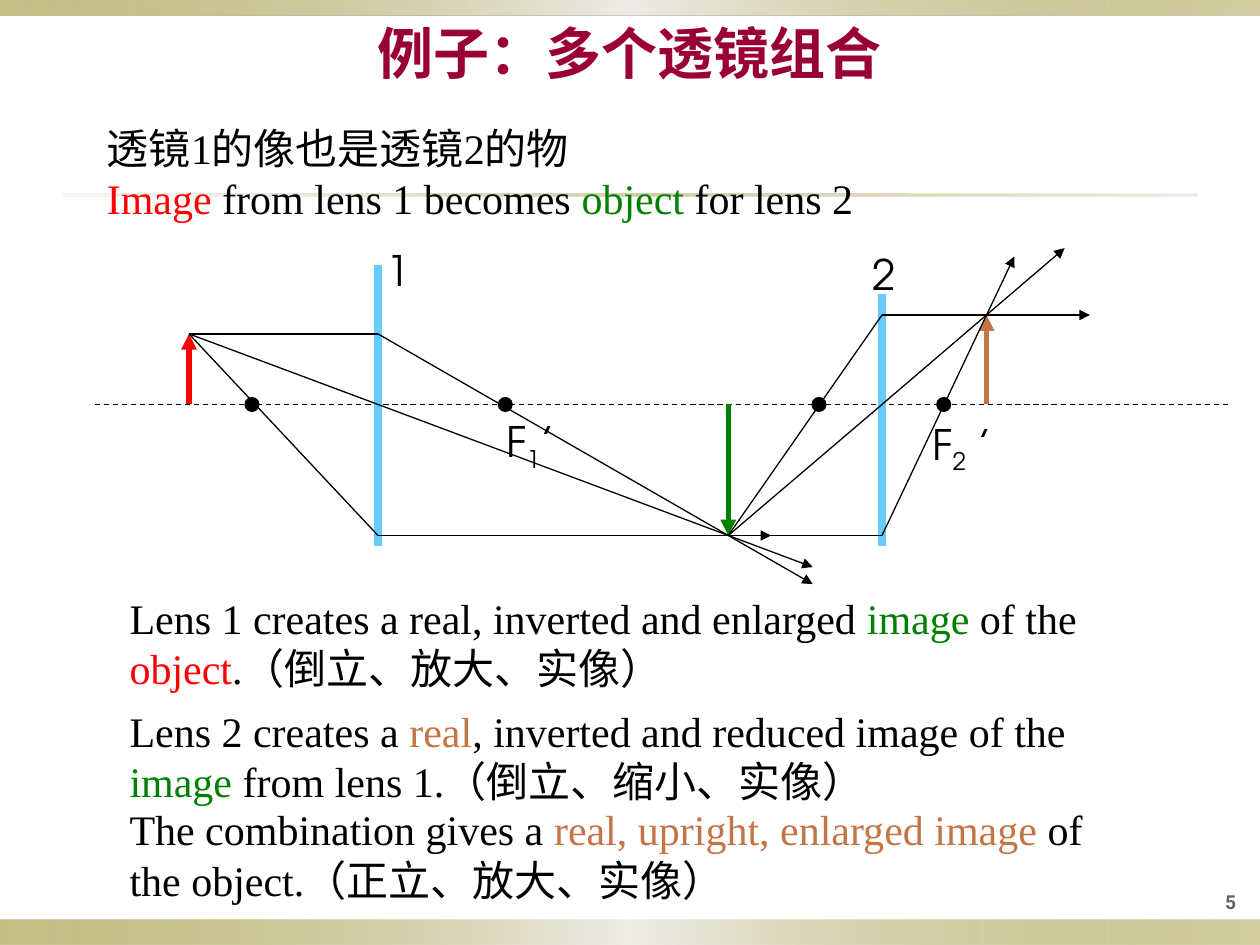
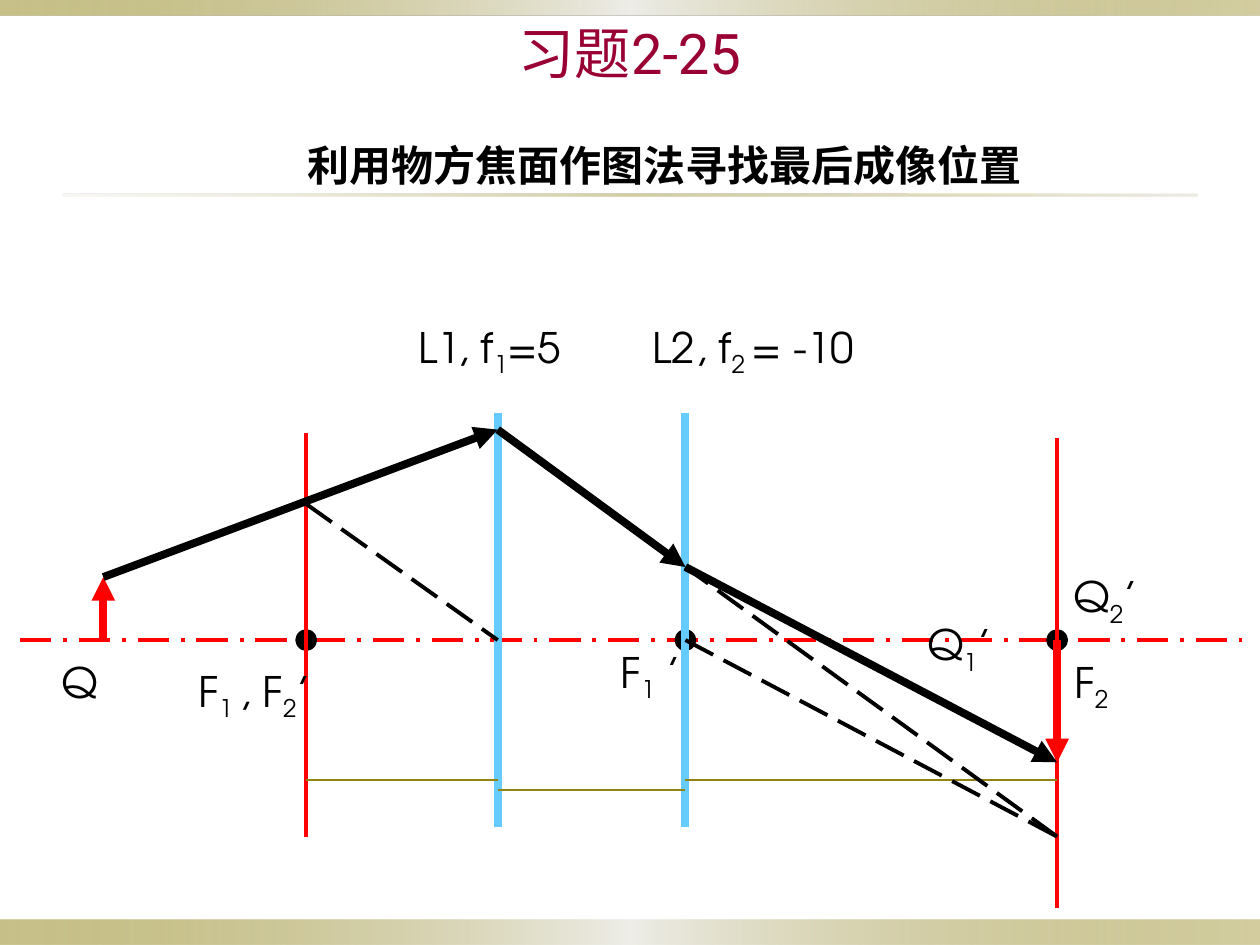
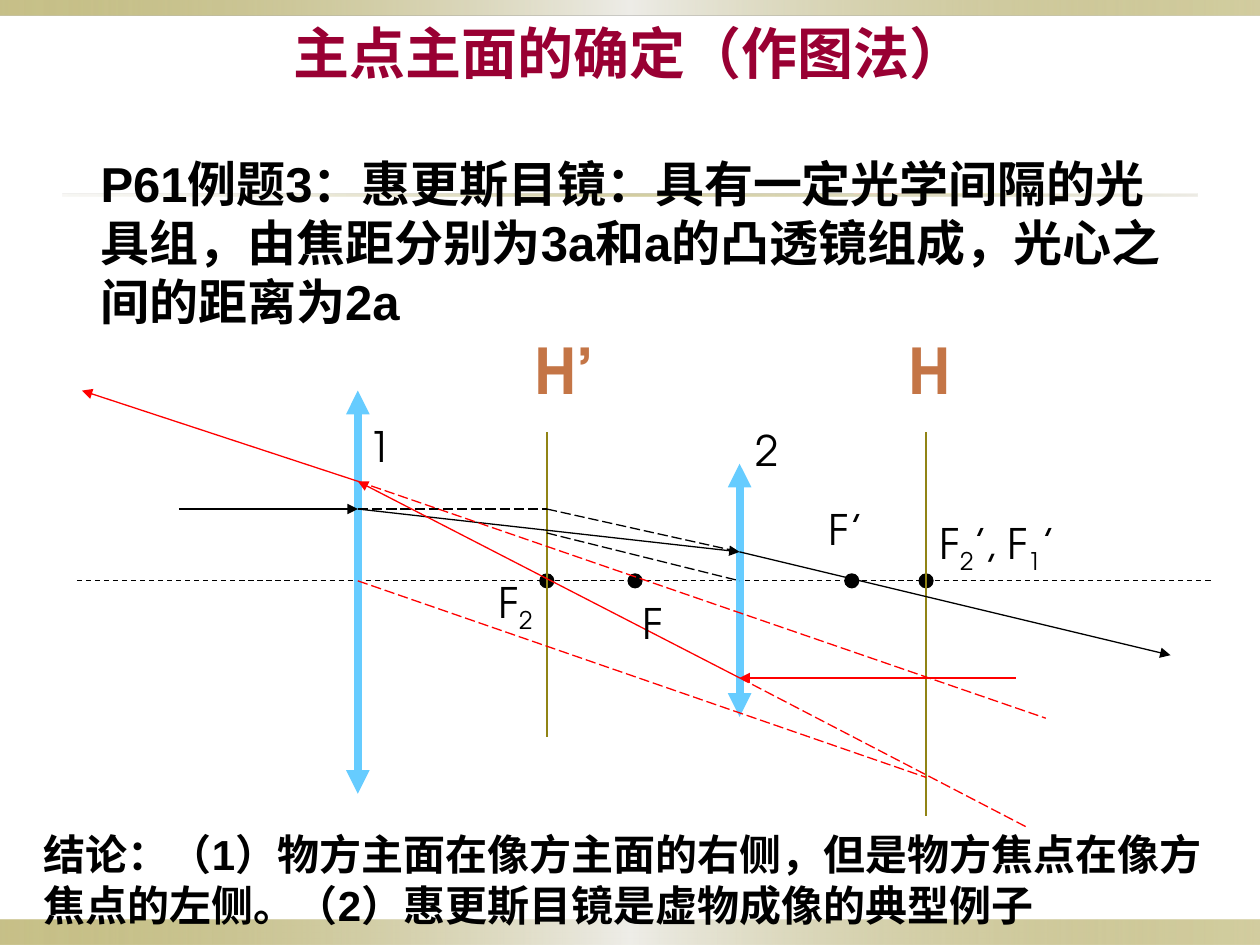
"""Build three slides on ray construction through combined lenses."""
from itertools import pairwise
from lxml.etree import SubElement
from pptx import Presentation
from pptx.dml.color import RGBColor
from pptx.enum.dml import MSO_LINE as Dash
from pptx.enum.shapes import MSO_CONNECTOR as Connector, MSO_SHAPE as Shape
from pptx.enum.text import MSO_ANCHOR as Anchor, MSO_AUTO_SIZE as AutoSize, PP_ALIGN as Align
from pptx.oxml.ns import qn
from pptx.util import Inches, Pt

rgb = RGBColor.from_string
BLACK = rgb("000000")
RED = rgb("FF0000")
GREEN = rgb("008000")
COPPER = rgb("C47546")
SKY = rgb("66CCFF")
OLIVE = rgb("918415")
CREAM = rgb("EEEDE8")
SAND = rgb("DCD9CC")
CRIMSON = rgb("990033")
GRAY = rgb("636363")

BAND_STOPS = [(0, OLIVE, 50), (50, CREAM, 100), (100, OLIVE, 40)]
RULE_STOPS = [(0, SAND, 20), (50, OLIVE, 40), (100, SAND, 50)]
BANDS = [
    ((0, 7.3, 10, 0.2), BAND_STOPS),
    ((0, 0, 10, 0.12), BAND_STOPS),
    ((0.5, 1.54, 9, 0.02), RULE_STOPS),
]
TITLE_BOX = (0, 0, 10, 0.83)
NUMBER_BOX = (5.83, 7, 4.08, 0.31)
DOT_SIZE = 0.11

TITLE = {"name": "Roboto", "size": Pt(32), "bold": True}
PLAIN_TITLE = {**TITLE, "bold": False}
NUMBER = {**TITLE, "size": Pt(11)}
LABEL = {"name": "TeX Gyre Adventor", "size": Pt(24)}
PLANE = {**LABEL, "size": Pt(36), "bold": True}
PROSE = {**LABEL, "name": "Times New Roman"}
STATEMENT = {**LABEL, "name": "Arial", "bold": True}
PROBLEM = {**STATEMENT, "size": Pt(28)}

HAIR, FINE, MEDIUM, STRONG, THICK = Pt(0.75), Pt(1), Pt(2.25), Pt(3), Pt(4.5)
END, BOTH = ["tailEnd"], ["headEnd", "tailEnd"]
LINE_STYLES = {
    "axis": (BLACK, HAIR, Dash.DASH, []),
    "red axis": (RED, MEDIUM, Dash.LONG_DASH_DOT, []),
    "lens": (SKY, THICK, None, []),
    "convex lens": (SKY, THICK, None, BOTH),
    "focal plane": (RED, MEDIUM, None, []),
    "principal plane": (OLIVE, FINE, None, []),
    "distance": (OLIVE, FINE, None, []),
    "object": (RED, STRONG, None, END),
    "first image": (GREEN, STRONG, None, END),
    "final image": (COPPER, STRONG, None, END),
    "ray": (BLACK, HAIR, None, []),
    "outgoing ray": (BLACK, HAIR, None, END),
    "back ray": (RED, HAIR, None, END),
    "construction": (BLACK, HAIR, Dash.LONG_DASH, []),
    "back construction": (RED, HAIR, Dash.LONG_DASH, []),
    "bold construction": (BLACK, MEDIUM, Dash.LONG_DASH, []),
    "bold ray": (BLACK, THICK, None, END),
    "bold image": (RED, THICK, None, END),
}


def trace(tip, lens_x, axis_y, image, exits):
    """Return the parallel, central and focal rays from a tip through its image."""
    rays = []
    for hit_y, exit_x in zip((tip[1], axis_y, image[1]), exits):
        hit = (lens_x, hit_y)
        slope = (image[1] - hit_y) / (image[0] - lens_x)
        rays.append(("ray", [tip, hit]))
        rays.append(("outgoing ray", [hit, (exit_x, hit_y + slope * (exit_x - lens_x))]))
    return rays


def relay_slide():
    """Describe two lenses in which the first image is the second object."""
    axis, lens_1, lens_2 = 3.21, 3, 7
    source, relay, final = (1.5, 2.65), (5.78, 4.25), (7.83, 2.5)
    left, width = 0.93, 8.04
    return {
        "title": ("例子：多个透镜组合", TITLE),
        "number": "5",
        "axis": ("axis", axis, 0.75, 9.75),
        "dots": (HAIR, [2, 4.01, 6.5, 7.49]),
        "uprights": [
            ("lens", lens_1, 2.1, 4.33), ("lens", lens_2, 2.33, 4.33),
            ("object", source[0], axis, source[1]),
            ("first image", relay[0], axis, relay[1]),
            ("final image", final[0], axis, final[1]),
        ],
        "paths": trace(source, lens_1, axis, relay, (6.45, 6.45, 6.12))
        + trace(relay, lens_2, axis, final, (8.05, 8.45, 8.65)),
        "labels": [
            (2.97, 1.89, ["1"]), (6.83, 1.92, ["2"]),
            (3.92, 3.25, ["F", "1", "’"]), (7.3, 3.27, ["F", "2", " ’"]),
        ],
        "prose": [
            (0.75, 0.92, 8.63, 2, PROSE, Align.LEFT, [
                ("透镜1的像也是透镜2的物\n", BLACK), ("Image ", RED),
                ("from lens 1 becomes ", BLACK), ("object ", GREEN), ("for lens 2", BLACK)]),
            (left, 4.65, width, 2, PROSE, Align.LEFT, [
                ("Lens 1 creates a real, inverted and enlarged ", BLACK), ("image", GREEN),
                (" of the ", BLACK), ("object", RED), (".（倒立、放大、实像）", BLACK)]),
            (left, 5.55, width, 2, PROSE, Align.LEFT, [
                ("Lens 2 creates a ", BLACK), ("real", COPPER),
                (", inverted and reduced image of the ", BLACK), ("image", GREEN),
                (" from lens 1.（倒立、缩小、实像）", BLACK)]),
            (left, 6.33, width, 2, PROSE, Align.LEFT, [
                ("The combination gives a ", BLACK), ("real, upright, enlarged image", COPPER),
                (" of the object.（正立、放大、实像）", BLACK)]),
        ],
    }


def exercise_slide():
    """Describe the focal plane construction for a convex and a concave lens."""
    axis, focus_1, lens_1, lens_2, focus_2 = 5.08, 2.43, 3.95, 5.44, 8.39
    source, final, virtual = (0.82, 4.58), (focus_2, 6.05), (focus_2, 6.64)
    hit_1, hit_2 = (lens_1, 3.41), (lens_2, 4.5)
    stations = [focus_1, lens_1, lens_2, focus_2]
    distances = [
        ("distance", [(start, y), (end, y)])
        for (start, end), y in zip(pairwise(stations), (6.19, 6.27, 6.19))
    ]
    return {
        "title": ("习题2-25", PLAIN_TITLE),
        "axis": ("red axis", axis, 0.16, 9.86),
        "dots": (THICK, [focus_1, lens_2, focus_2]),
        "uprights": [
            ("focal plane", focus_1, 3.44, 6.64), ("focal plane", focus_2, 3.48, 7.21),
            ("lens", lens_1, 3.28, 6.56), ("lens", lens_2, 3.28, 6.56),
            ("bold image", source[0], axis, source[1]),
            ("bold image", focus_2, axis, final[1]),
        ],
        "paths": distances + [
            ("bold construction", [(focus_1, 4), (lens_1, axis)]),
            ("bold construction", [(lens_2, axis), virtual, hit_2]),
            ("bold ray", [source, hit_1, hit_2, final]),
        ],
        "labels": [
            (3.22, 2.5, ["L1, f", "1", "=5"]), (5.08, 2.5, ["L2, f", "2 ", "= -10"]),
            (0.39, 5.16, ["Q"]), (1.48, 5.23, ["F", "1 ", ", F", "2", "’"]),
            (4.83, axis, ["F", "1", " ’"]), (7.26, 4.86, ["Q", "1", "’"]),
            (8.42, 4.48, ["Q", "2", "’"]), (8.43, 5.16, ["F", "2"]),
        ],
        "prose": [
            (1.64, 1.06, 7.27, 1, STATEMENT, Align.CENTER,
             [("利用物方焦面作图法寻找最后成像位置", BLACK)]),
        ],
    }


def eyepiece_slide():
    """Describe how the principal planes of an eyepiece are found."""
    axis, lens_1, lens_2, image_plane, object_plane = 4.61, 2.84, 5.87, 4.34, 7.35
    entry_y, back_y = 4.04, 5.38
    entry, bend, hit = (lens_1, entry_y), (image_plane, entry_y), (lens_2, 4.38)
    back_entry, back_hit = (lens_2, back_y), (lens_1, 3.82)
    return {
        "title": ("主点主面的确定（作图法）", TITLE),
        "axis": ("axis", axis, 0.61, 9.61),
        "dots": (HAIR, [image_plane, 5.04, 6.76, object_plane]),
        "uprights": [
            ("principal plane", object_plane, 3.43, 6.48),
            ("principal plane", image_plane, 3.43, 5.85),
            ("convex lens", lens_1, 3.1, 6.3), ("convex lens", lens_2, 3.68, 5.69),
        ],
        "paths": [
            ("outgoing ray", [(1.42, entry_y), entry, hit, (9.29, 5.2)]),
            ("construction", [entry, bend, hit]),
            ("construction", [(image_plane, 4.23), (lens_2, axis)]),
            ("back ray", [(8.06, back_y), back_entry, back_hit, (0.65, 3.1)]),
            ("back construction", [back_entry, (8.14, 6.56)]),
            ("back construction", [(lens_1, axis), (object_plane, 6.17)]),
            ("back construction", [back_hit, (8.3, 5.7)]),
        ],
        "labels": [
            (2.83, 3.29, ["1"]), (5.9, 3.32, ["2"]), (3.86, 4.53, ["F", "2"]),
            (5, 4.69, ["F"]), (6.48, 3.95, ["F’"]),
            (7.36, 4.06, ["F", "2", "’, F", "1", "’"]),
        ],
        "prose": [
            (4.14, 2.58, 0.78, 1, PLANE, Align.LEFT, [("H’", COPPER)]),
            (7.11, 2.58, 0.78, 1, PLANE, Align.LEFT, [("H", COPPER)]),
            (0.7, 1.17, 8.67, 3, PROBLEM, Align.LEFT, [(
                "P61例题3：惠更斯目镜：具有一定光学间隔的光具组，"
                "由焦距分别为3a和a的凸透镜组成，光心之间的距离为2a", BLACK)]),
            (0.25, 6.53, 9.48, 2, STATEMENT, Align.LEFT, [(
                "结论：（1）物方主面在像方主面的右侧，但是物方焦点在像方焦点的左侧。"
                "（2）惠更斯目镜是虚物成像的典型例子", BLACK)]),
        ],
    }


def inches(values):
    return [Inches(value) for value in values]


def add_band(slide, box, stops):
    band = slide.shapes.add_shape(Shape.RECTANGLE, *inches(box))
    band.shadow.inherit = False
    band.line.fill.background()
    band.fill.gradient()
    band.fill.gradient_angle = 0
    stop_list = band.element.spPr.find(".//" + qn("a:gsLst"))
    stop_list.clear()
    for position, color, opacity in stops:
        stop = SubElement(stop_list, qn("a:gs"), pos=f"{position}000")
        tint = SubElement(stop, qn("a:srgbClr"), val=str(color))
        SubElement(tint, qn("a:alpha"), val=f"{opacity}000")


def add_text(slide, box, runs, font_format, align=Align.LEFT, anchor=Anchor.TOP):
    textbox = slide.shapes.add_textbox(*inches(box))
    frame = textbox.text_frame
    frame.word_wrap = True
    frame.vertical_anchor = anchor
    if anchor == Anchor.TOP:
        frame.auto_size = AutoSize.SHAPE_TO_FIT_TEXT
    paragraph = frame.paragraphs[0]
    paragraph.alignment = align
    for text, color, subscript in runs:
        run = paragraph.add_run()
        run.text = text.rstrip("\n")
        for name, value in font_format.items():
            setattr(run.font, name, value)
        run.font.color.rgb = color
        if subscript:
            run._r.get_or_add_rPr().set("baseline", "-25000")
        if text.endswith("\n"):
            paragraph.add_line_break()


def add_label(slide, left, top, pieces):
    width = 0.32 + 0.16 * len("".join(pieces))
    runs = [(piece, BLACK, index % 2 == 1) for index, piece in enumerate(pieces)]
    add_text(slide, (left, top, width, 0.5), runs, LABEL)


def add_prose(slide, left, top, width, line_count, font_format, align, pieces):
    height = 0.1 + line_count * 1.2 * font_format["size"].inches
    runs = [(text, color, False) for text, color in pieces]
    add_text(slide, (left, top, width, height), runs, font_format, align)


def add_path(slide, style, points):
    color, width, dash, arrowheads = LINE_STYLES[style]
    for start, end in pairwise(points):
        connector = slide.shapes.add_connector(Connector.STRAIGHT, *inches(start + end))
        connector.line.color.rgb = color
        connector.line.width = width
        if dash:
            connector.line.dash_style = dash
        properties = connector.element.spPr
        for arrowhead in arrowheads:
            SubElement(properties.find(qn("a:ln")), qn(f"a:{arrowhead}"), type="triangle")
        SubElement(properties, qn("a:effectLst"))


def add_dot(slide, center, outline):
    corner = [value - DOT_SIZE / 2 for value in center]
    dot = slide.shapes.add_shape(Shape.OVAL, *inches(corner + [DOT_SIZE] * 2))
    dot.shadow.inherit = False
    dot.fill.solid()
    dot.fill.fore_color.rgb = BLACK
    dot.line.color.rgb = BLACK
    dot.line.width = outline


def build_slide(deck, content):
    slide = deck.slides.add_slide(deck.slide_layouts[6])
    for box, stops in BANDS:
        add_band(slide, box, stops)
    title, title_format = content["title"]
    add_text(slide, TITLE_BOX, [(title, CRIMSON, False)], title_format, Align.CENTER, Anchor.MIDDLE)
    if "number" in content:
        add_text(slide, NUMBER_BOX, [(content["number"], GRAY, False)], NUMBER,
                 Align.RIGHT, Anchor.MIDDLE)
    axis_style, axis, start, end = content["axis"]
    add_path(slide, axis_style, [(start, axis), (end, axis)])
    outline, foci = content["dots"]
    for focus in foci:
        add_dot(slide, (focus, axis), outline)
    for style, x, first_y, last_y in content["uprights"]:
        add_path(slide, style, [(x, first_y), (x, last_y)])
    for style, points in content["paths"]:
        add_path(slide, style, points)
    for label in content["labels"]:
        add_label(slide, *label)
    for prose in content["prose"]:
        add_prose(slide, *prose)


def main():
    deck = Presentation()
    deck.slide_width, deck.slide_height = inches((10, 7.5))
    for content in (relay_slide(), exercise_slide(), eyepiece_slide()):
        build_slide(deck, content)
    deck.save("out.pptx")


if __name__ == "__main__":
    main()
